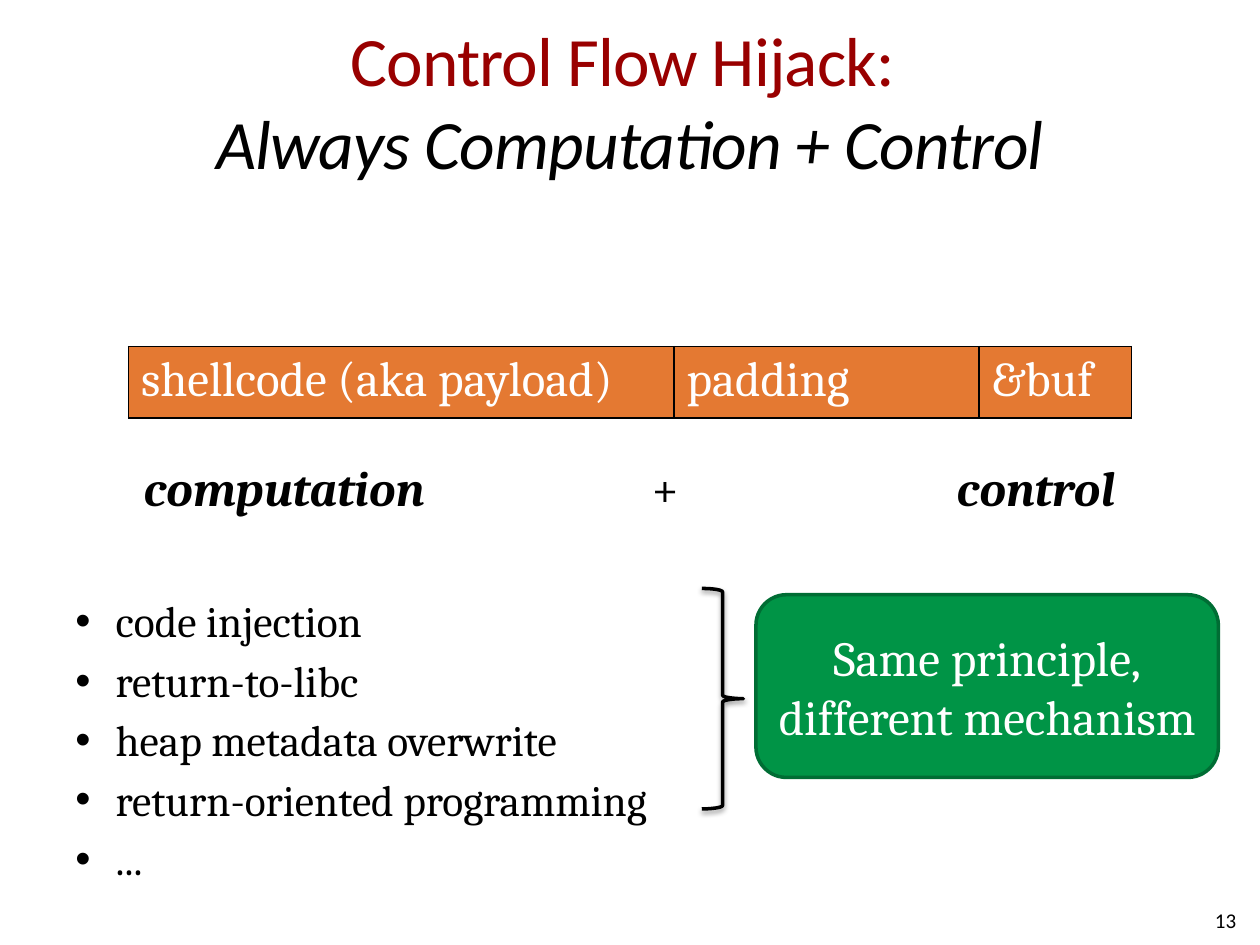
from dataclasses import dataclass

from lxml.etree import SubElement
from pptx import Presentation
from pptx.dml.color import RGBColor
from pptx.enum.shapes import MSO_SHAPE as Shape
from pptx.enum.text import MSO_ANCHOR as Anchor, MSO_AUTO_SIZE as AutoSize, PP_ALIGN as Align
from pptx.oxml.ns import qn
from pptx.util import Inches, Pt


@dataclass(frozen=True)
class Theme:
    heading_font: str = "Calibri"
    body_font: str = "Cambria"
    black: str = "000000"
    white: str = "FFFFFF"
    red: str = "990000"
    orange: str = "E47932"
    green: str = "009446"
    dark_green: str = "006D34"
    title_size: float = 39.6
    text_size: float = 28
    list_size: float = 24.8
    number_size: float = 12


THEME = Theme()


def box(left, top, width, height):
    return [Inches(value) for value in (left, top, width, height)]


def add_run(paragraph, text, size=THEME.text_size, color=THEME.black,
            font=THEME.body_font, bold=False, italic=False):
    run = paragraph.add_run()
    run.text = text
    run.font.name = font
    run.font.size = Pt(size)
    run.font.bold = bold
    run.font.italic = italic
    run.font.color.rgb = RGBColor.from_string(color)
    return run


def add_text_frame(slide, bounds):
    frame = slide.shapes.add_textbox(*box(*bounds)).text_frame
    frame.word_wrap = True
    return frame


def set_title(slide, topic, claim):
    title = slide.shapes.title
    title.left, title.top, title.width, title.height = box(0.5, 0.17, 9, 1.25)
    frame = title.text_frame
    frame.auto_size = AutoSize.NONE
    frame.vertical_anchor = Anchor.MIDDLE
    frame.margin_left = frame.margin_right = 0
    paragraph = frame.paragraphs[0]
    paragraph.alignment = Align.CENTER
    style = {"size": THEME.title_size, "font": THEME.heading_font}
    runs = [add_run(paragraph, topic, color=THEME.red, **style)]
    paragraph.add_line_break()
    runs.append(add_run(paragraph, claim, italic=True, **style))
    for run in runs:
        run.font._element.set("spc", "-50")


def add_border(cell):
    properties = cell._tc.get_or_add_tcPr()
    for index, side in enumerate(("a:lnL", "a:lnR", "a:lnT", "a:lnB")):
        line = properties.makeelement(qn(side), {"w": str(Pt(1))})
        fill = SubElement(line, qn("a:solidFill"))
        SubElement(fill, qn("a:srgbClr"), val=THEME.black)
        properties.insert(index, line)


def add_buffer_table(slide, parts):
    bounds = box(1.02, 2.75, sum(width for _, width in parts), 0.55)
    table = slide.shapes.add_table(1, len(parts), *bounds).table
    table.first_row = table.horz_banding = False
    for index, (label, width) in enumerate(parts):
        table.columns[index].width = Inches(width)
        cell = table.cell(0, index)
        cell.fill.solid()
        cell.fill.fore_color.rgb = RGBColor.from_string(THEME.orange)
        add_border(cell)
        add_run(cell.text_frame.paragraphs[0], label, color=THEME.white)


def add_equation(slide):
    frame = add_text_frame(slide, (0.5, 3.58, 9, 0.6))
    frame.margin_left = Inches(0.64)
    paragraph = frame.paragraphs[0]
    # Centre the plus sign and right-align the last term under the table
    tabs = SubElement(paragraph._p.get_or_add_pPr(), qn("a:tabLst"))
    for position, alignment in ((4.14, "ctr"), (7.71, "r")):
        SubElement(tabs, qn("a:tab"), pos=str(Inches(position)), algn=alignment)
    add_run(paragraph, "computation", bold=True, italic=True)
    add_run(paragraph, "\t+\t")
    add_run(paragraph, "control", bold=True, italic=True)


def add_bullets(slide, items):
    frame = add_text_frame(slide, (0.5, 4.67, 9, 2.17))
    for index, item in enumerate(items):
        paragraph = frame.add_paragraph() if index else frame.paragraphs[0]
        properties = paragraph._p.get_or_add_pPr()
        properties.set("marL", str(Inches(0.32)))
        properties.set("indent", str(Inches(-0.32)))
        SubElement(properties, qn("a:buFont"), typeface="Arial")
        SubElement(properties, qn("a:buChar"), char="•")
        if index:
            paragraph.space_before = Pt(4.2)
        add_run(paragraph, item, THEME.list_size)


def add_outlined_shape(slide, kind, bounds, line_color):
    shape = slide.shapes.add_shape(kind, *box(*bounds))
    shape.shadow.inherit = False
    shape.line.color.rgb = RGBColor.from_string(line_color)
    shape.line.width = Pt(2)
    return shape


def add_brace(slide):
    brace = add_outlined_shape(slide, Shape.RIGHT_BRACE, (5.57, 4.67, 0.33, 1.75), THEME.black)
    brace.fill.background()
    effects = brace._element.spPr.find(qn("a:effectLst"))
    shadow = SubElement(effects, qn("a:outerShdw"), blurRad=str(Pt(3.1)),
                        dist=str(Pt(1.6)), dir="5400000", rotWithShape="0")
    color = SubElement(shadow, qn("a:srgbClr"), val=THEME.black)
    SubElement(color, qn("a:alpha"), val="38000")


def add_callout(slide, lines):
    callout = add_outlined_shape(slide, Shape.ROUNDED_RECTANGLE, (6, 4.72, 3.67, 1.45),
                                 THEME.dark_green)
    callout.fill.solid()
    callout.fill.fore_color.rgb = RGBColor.from_string(THEME.green)
    callout.text_frame.vertical_anchor = Anchor.MIDDLE
    paragraph = callout.text_frame.paragraphs[0]
    paragraph.alignment = Align.CENTER
    for index, line in enumerate(lines):
        if index:
            paragraph.add_line_break()
        add_run(paragraph, line, color=THEME.white)


def add_slide_number(slide, number):
    frame = add_text_frame(slide, (7.58, 7.1, 2.33, 0.4))
    frame.vertical_anchor = Anchor.MIDDLE
    paragraph = frame.paragraphs[0]
    paragraph.alignment = Align.RIGHT
    add_run(paragraph, number, THEME.number_size, font=THEME.heading_font)


def main():
    deck = Presentation()
    deck.slide_width, deck.slide_height = Inches(10), Inches(7.5)
    slide = deck.slides.add_slide(deck.slide_layouts[5])

    set_title(slide, "Control Flow Hijack: ", "Always Computation + Control")

    # Overflowed buffer and what its parts provide
    add_equation(slide)
    add_buffer_table(slide, [("shellcode (aka payload)", 4.33), ("padding", 2.42), ("&buf", 1.21)])
    add_slide_number(slide, "13")

    # Attack techniques and their common principle
    add_bullets(slide, ["code injection", "return-to-libc", "heap metadata overwrite",
                        "return-oriented programming", "..."])
    add_brace(slide)
    add_callout(slide, ["Same principle,", "different mechanism"])

    deck.save("out.pptx")


if __name__ == "__main__":
    main()
